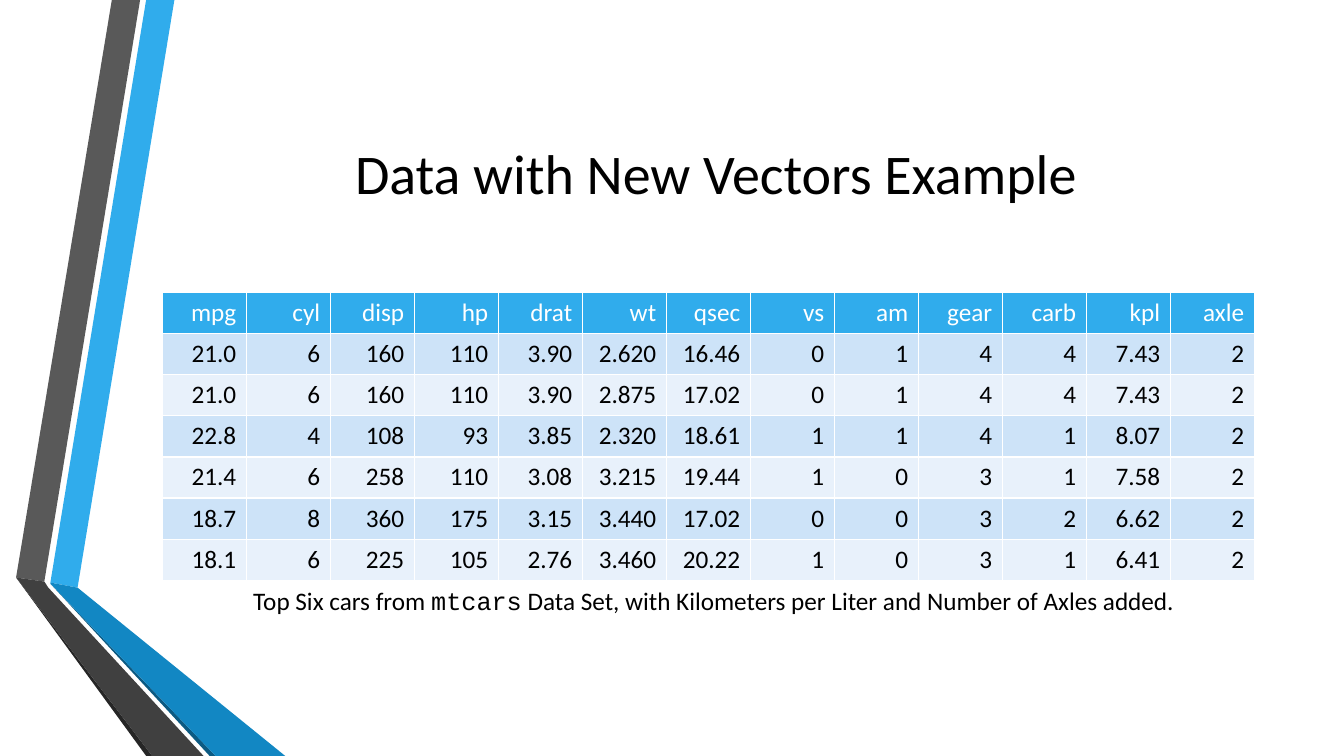
from pptx import Presentation
from pptx.dml.color import RGBColor
from pptx.enum.text import MSO_ANCHOR, PP_ALIGN
from pptx.util import Inches, Pt

WHITE = RGBColor(0xFF, 0xFF, 0xFF)
BLACK = RGBColor(0x00, 0x00, 0x00)
BRIGHT_BLUE = RGBColor(0x30, 0xAC, 0xEC)
MID_BLUE = RGBColor(0x12, 0x87, 0xC3)
DEEP_BLUE = RGBColor(0x0C, 0x5A, 0x82)
GRAY = RGBColor(0x59, 0x59, 0x59)
DARK_GRAY = RGBColor(0x40, 0x40, 0x40)
NEAR_BLACK = RGBColor(0x26, 0x26, 0x26)
BAND_DARK = RGBColor(0xCD, 0xE3, 0xF8)
BAND_LIGHT = RGBColor(0xE8, 0xF1, 0xFB)

SLIDE_WIDTH, SLIDE_HEIGHT = 13.33, 7.5
TABLE_LEFT, TABLE_TOP = 1.61, 2.9
COLUMN_WIDTH = SLIDE_WIDTH / 16
ROW_HEIGHT = 2.86 / 7
CONTENT_WIDTH = 10.94


def add_run(paragraph, text, size, color, font_name="Calibri"):
    run = paragraph.add_run()
    run.text = text
    run.font.name = font_name
    run.font.size = Pt(size)
    run.font.bold = False
    run.font.color.rgb = color


def add_centered_box(slide, left, top, width, height, anchor):
    text_box = slide.shapes.add_textbox(Inches(left), Inches(top), Inches(width), Inches(height))
    text_box.text_frame.word_wrap = True
    text_box.text_frame.vertical_anchor = anchor
    paragraph = text_box.text_frame.paragraphs[0]
    paragraph.alignment = PP_ALIGN.CENTER
    return paragraph


presentation = Presentation()
presentation.slide_width = Inches(SLIDE_WIDTH)
presentation.slide_height = Inches(SLIDE_HEIGHT)
slide = presentation.slides.add_slide(presentation.slide_layouts[6])

# Folded ribbons along the left edge
ribbons = [
    (BRIGHT_BLUE, [(0.5, 5.78), (0.77, 5.83), (1.73, 0), (1.45, 0)]),
    (GRAY, [(1.39, 0), (1.11, 0), (0.16, 5.73), (0.44, 5.77)]),
    (NEAR_BLACK, [(0.16, 5.73), (1.45, SLIDE_HEIGHT), (1.51, SLIDE_HEIGHT)]),
    (DEEP_BLUE, [(0.5, 5.79), (2.08, SLIDE_HEIGHT), (2.14, SLIDE_HEIGHT)]),
    (MID_BLUE, [(0.5, 5.78), (0.5, 5.79), (2.14, SLIDE_HEIGHT), (2.83, SLIDE_HEIGHT), (0.77, 5.83)]),
    (DARK_GRAY, [(2.02, SLIDE_HEIGHT), (0.48, 5.83), (0.44, 5.77), (0.16, 5.73), (1.51, SLIDE_HEIGHT)]),
]
for color, corners in ribbons:
    points = [(Inches(x), Inches(y)) for x, y in corners]
    builder = slide.shapes.build_freeform(*points[0])
    builder.add_line_segments(points[1:], close=True)
    ribbon = builder.convert_to_shape()
    ribbon.shadow.inherit = False
    ribbon.fill.solid()
    ribbon.fill.fore_color.rgb = color
    ribbon.line.fill.background()

# Title
title = add_centered_box(slide, 1.62, SLIDE_HEIGHT / 10, 10.96, 1.92, MSO_ANCHOR.MIDDLE)
add_run(title, "Data with New Vectors Example", 40, BLACK)

# Car table; the default table style draws the white cell borders
car_rows = [
    ["mpg", "cyl", "disp", "hp", "drat", "wt", "qsec", "vs", "am", "gear", "carb", "kpl", "axle"],
    ["21.0", "6", "160", "110", "3.90", "2.620", "16.46", "0", "1", "4", "4", "7.43", "2"],
    ["21.0", "6", "160", "110", "3.90", "2.875", "17.02", "0", "1", "4", "4", "7.43", "2"],
    ["22.8", "4", "108", "93", "3.85", "2.320", "18.61", "1", "1", "4", "1", "8.07", "2"],
    ["21.4", "6", "258", "110", "3.08", "3.215", "19.44", "1", "0", "3", "1", "7.58", "2"],
    ["18.7", "8", "360", "175", "3.15", "3.440", "17.02", "0", "0", "3", "2", "6.62", "2"],
    ["18.1", "6", "225", "105", "2.76", "3.460", "20.22", "1", "0", "3", "1", "6.41", "2"],
]
row_count, column_count = len(car_rows), len(car_rows[0])
car_table = slide.shapes.add_table(
    row_count, column_count, Inches(TABLE_LEFT), Inches(TABLE_TOP),
    Inches(column_count * COLUMN_WIDTH), Inches(row_count * ROW_HEIGHT),
).table
for row_index, values in enumerate(car_rows):
    if row_index == 0:
        fill_color, text_color = BRIGHT_BLUE, WHITE
    else:
        fill_color, text_color = (BAND_DARK if row_index % 2 else BAND_LIGHT), BLACK
    for column_index, value in enumerate(values):
        cell = car_table.cell(row_index, column_index)
        cell.fill.solid()
        cell.fill.fore_color.rgb = fill_color
        paragraph = cell.text_frame.paragraphs[0]
        paragraph.alignment = PP_ALIGN.RIGHT
        add_run(paragraph, value, 18, text_color)

# Caption directly below the table
caption_top = TABLE_TOP + row_count * ROW_HEIGHT
caption = add_centered_box(slide, TABLE_LEFT, caption_top, CONTENT_WIDTH, 0.56, MSO_ANCHOR.TOP)
add_run(caption, "Top Six cars from ", 18, BLACK)
add_run(caption, "mtcars", 18, BLACK, "Courier New")
add_run(caption, " Data Set, with Kilometers per Liter and Number of Axles added.", 18, BLACK)

presentation.save("out.pptx")
